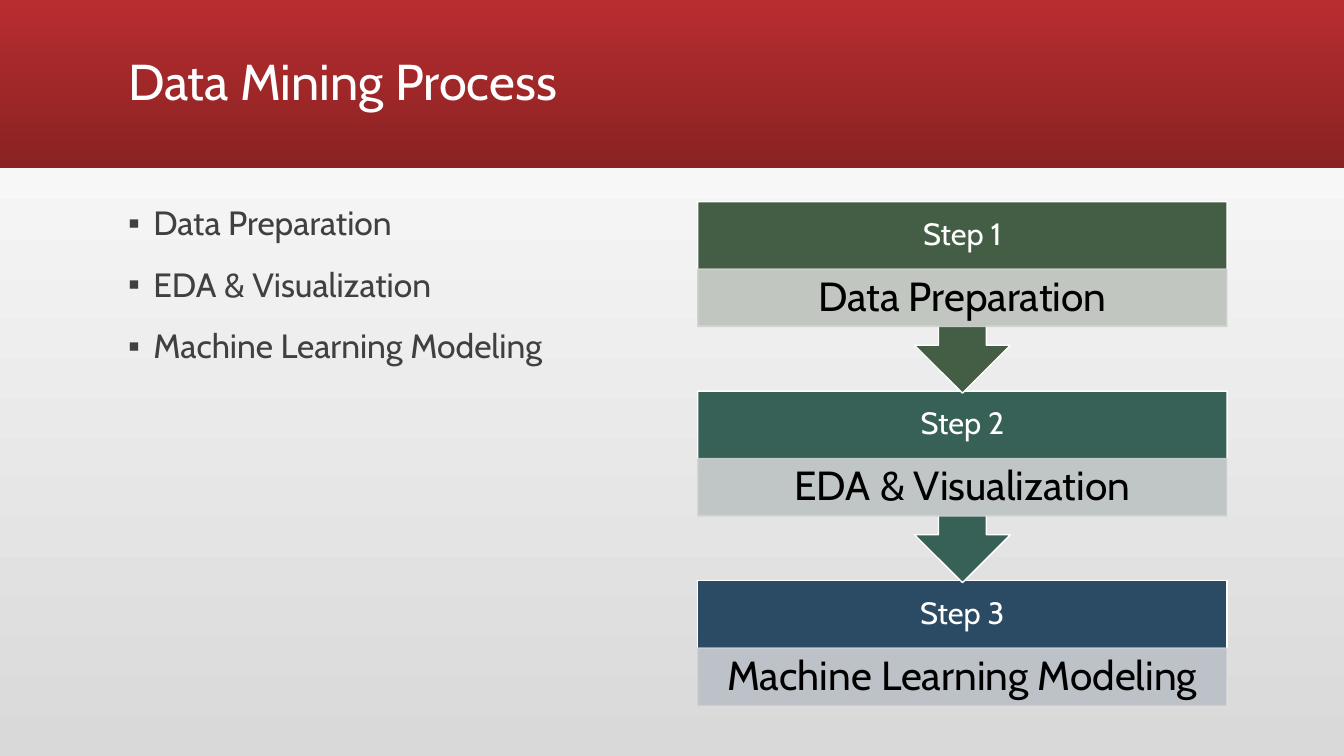
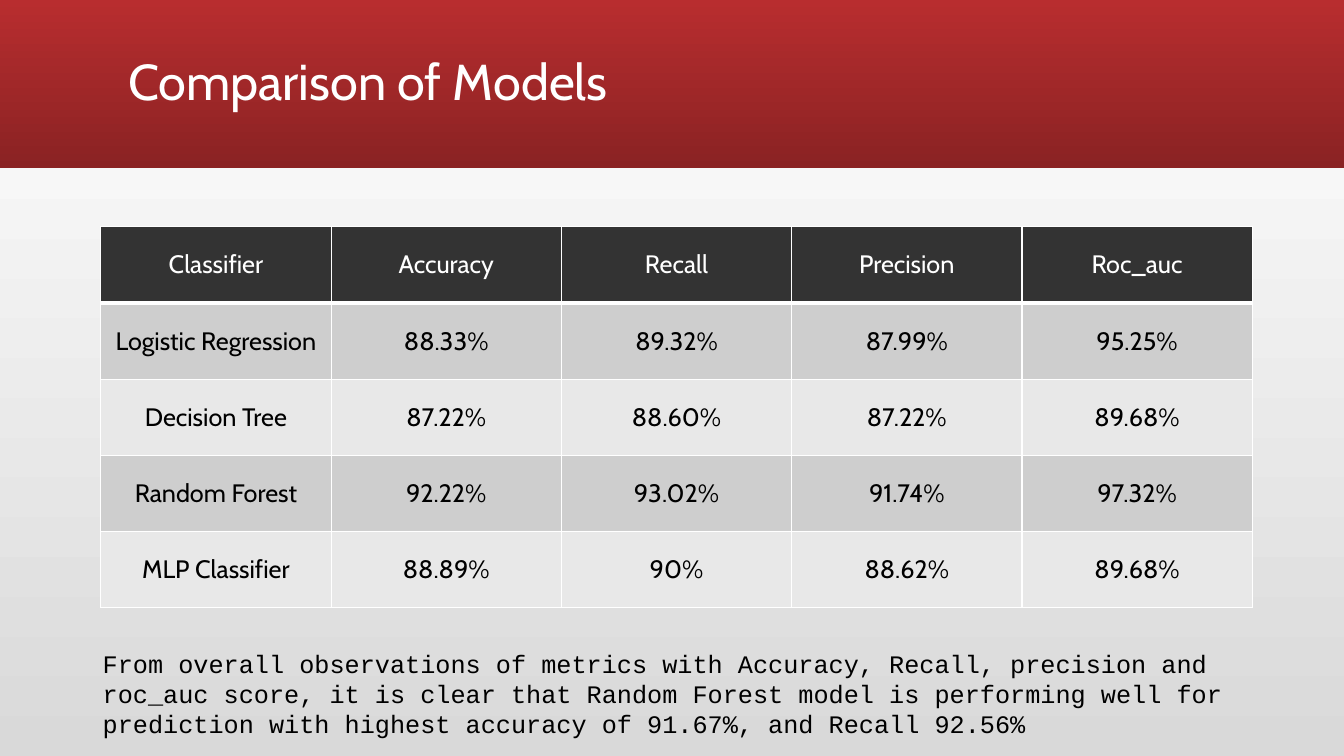
from lxml import etree
from pptx import Presentation
from pptx import util as u
from pptx.dml.color import RGBColor
from pptx.enum import shapes, text
from pptx.oxml import ns

FONT = "Cabin"
COLORS = {
    "band_top": "B82D2F", "band_bottom": "8A2223",
    "page_top": "FFFFFF", "page_bottom": "D9D9D9",
    "white": "FFFFFF", "black": "000000", "body": "404040",
    "header": "333333", "odd_row": "CECECE", "even_row": "E8E8E8",
    "green": "445E45", "green_tint": "CFD2CF",
    "teal": "376156", "teal_tint": "CED2D2",
    "navy": "2B4A63", "navy_tint": "CDD0D3",
}
SLIDE_W, SLIDE_H, BAND_H = 13.33, 7.5, 1.67

STEPS = [
    ("Data Preparation", "green"),
    ("EDA & Visualization", "teal"),
    ("Machine Learning Modeling", "navy"),
]
STEP_LEFT, STEP_TOP, STEP_W = 6.92, 2, 5.25
STEP_PITCH, HEADING_H, DETAIL_H, CALLOUT_H = 1.88, 0.67, 0.57, 1.9

SCORES = [
    ("Classifier", "Accuracy", "Recall", "Precision", "Roc_auc"),
    ("Logistic Regression", "88.33%", "89.32%", "87.99%", "95.25%"),
    ("Decision Tree", "87.22%", "88.60%", "87.22%", "89.68%"),
    ("Random Forest", "92.22%", "93.02%", "91.74%", "97.32%"),
    ("MLP Classifier", "88.89%", "90%", "88.62%", "89.68%"),
]
CONCLUSION = (
    "From overall observations of metrics with Accuracy, Recall, precision and "
    "roc_auc score, it is clear that Random Forest model is performing well for "
    "prediction with highest accuracy of 91.67%, and Recall 92.56%"
)


def rgb(name):
    return RGBColor.from_string(COLORS[name])


def inches(*lengths):
    return [u.Inches(length) for length in lengths]


def place(shape, *box):
    shape.left, shape.top, shape.width, shape.height = inches(*box)


def fill_gradient(fill, start, end, angle):
    """Blend two colours; the angle runs counter-clockwise from left to right."""
    fill.gradient()
    fill.gradient_angle = angle
    for stop, color in zip(fill.gradient_stops, (start, end)):
        stop.color.rgb = rgb(color)


def write(paragraph, words, size, color, font=FONT, align=text.PP_ALIGN.LEFT, spacing=0.9):
    paragraph.alignment = align
    paragraph.line_spacing = spacing
    run = paragraph.add_run()
    run.text = words
    run.font.size = u.Pt(size)
    run.font.name = font
    run.font.bold = False
    run.font.color.rgb = rgb(color)


def write_centred(frame, words, size, color, inset_x, inset_y):
    frame.word_wrap = True
    frame.vertical_anchor = text.MSO_ANCHOR.MIDDLE
    frame.margin_left = frame.margin_right = u.Inches(inset_x)
    frame.margin_top = frame.margin_bottom = u.Inches(inset_y)
    write(frame.paragraphs[0], words, size, color, align=text.PP_ALIGN.CENTER)


def add_block(parent, preset, box, fill, line):
    block = parent.shapes.add_shape(preset, *inches(*box))
    block.shadow.inherit = False
    block.fill.solid()
    block.fill.fore_color.rgb = rgb(fill)
    block.line.color.rgb = rgb(line)
    block.line.width = u.Pt(1)
    return block


def set_opacity(shape, percent):
    """Apply one opacity to the fill and the outline."""
    for color in shape._element.spPr.iter(ns.qn("a:srgbClr")):
        etree.SubElement(color, ns.qn("a:alpha"), val=str(percent * 1000))


def add_title(slide, words):
    title = slide.shapes.title
    place(title, 1.17, 0.11, 11, 1.45)
    title.text_frame.auto_size = text.MSO_AUTO_SIZE.NONE
    title.text_frame.vertical_anchor = text.MSO_ANCHOR.MIDDLE
    write(title.text_frame.paragraphs[0], words, 36, "white")


def add_bullets(slide, items):
    body = slide.placeholders[1]
    place(body, 1.17, 2, 5.25, 5)
    frame = body.text_frame
    frame.auto_size = text.MSO_AUTO_SIZE.NONE
    for index, item in enumerate(items):
        paragraph = frame.add_paragraph() if index else frame.paragraphs[0]
        write(paragraph, item, 24, "body")
        paragraph.space_before = u.Pt(18)
        properties = paragraph._p.get_or_add_pPr()
        properties.set("marL", str(u.Inches(0.25)))
        properties.set("indent", str(-u.Inches(0.25)))
        etree.SubElement(properties, ns.qn("a:buChar"), char="▪")


def add_step(diagram, index, detail, color):
    """Draw a step; every step but the last is a callout pointing to the next."""
    top = STEP_TOP + index * STEP_PITCH
    if index < len(STEPS) - 1:
        preset, height, rotation = shapes.MSO_SHAPE.UP_ARROW_CALLOUT, CALLOUT_H, 180
    else:
        preset, height, rotation = shapes.MSO_SHAPE.RECTANGLE, HEADING_H + DETAIL_H, 0
    frame = add_block(diagram, preset, (STEP_LEFT, top, STEP_W, height), color, "white")
    frame.rotation = rotation

    heading = diagram.shapes.add_textbox(*inches(STEP_LEFT, top, STEP_W, HEADING_H))
    write_centred(heading.text_frame, f"Step {index + 1}", 22, "white", 0.17, 0.17)

    tint = color + "_tint"
    strip = add_block(diagram, shapes.MSO_SHAPE.RECTANGLE,
                      (STEP_LEFT, top + HEADING_H, STEP_W, DETAIL_H), tint, tint)
    set_opacity(strip, 90)
    write_centred(strip.text_frame, detail, 29, "black", 0.23, 0.04)


def add_cell_borders(cell, widths):
    """Draw white borders; widths are points for left, right, top and bottom."""
    properties = cell._tc.get_or_add_tcPr()
    for side, width in zip("LRTB", widths):
        border = etree.SubElement(properties, ns.qn(f"a:ln{side}"), w=str(u.Pt(width)))
        solid = etree.SubElement(border, ns.qn("a:solidFill"))
        etree.SubElement(solid, ns.qn("a:srgbClr"), val=COLORS["white"])


def add_score_table(slide, rows):
    table = slide.shapes.add_table(
        len(rows), len(rows[0]), *inches(1, 2.25, 11.42, 3.78)).table
    for row_index, row in enumerate(rows):
        is_header = row_index == 0
        fill = "header" if is_header else ("even_row", "odd_row")[row_index % 2]
        widths = (1, 1, 3 if row_index == 1 else 1, 3 if is_header else 1)
        for column, words in enumerate(row):
            cell = table.cell(row_index, column)
            cell.vertical_anchor = text.MSO_ANCHOR.MIDDLE
            add_cell_borders(cell, widths)
            cell.fill.solid()
            cell.fill.fore_color.rgb = rgb(fill)
            write(cell.text_frame.paragraphs[0], words, 18,
                  "white" if is_header else "black",
                  align=text.PP_ALIGN.CENTER, spacing=1.0)


def add_conclusion(slide, words):
    conclusion = slide.shapes.add_textbox(*inches(0.92, 6.38, 11.58, 1.01))
    conclusion.text_frame.word_wrap = True
    conclusion.text_frame.auto_size = text.MSO_AUTO_SIZE.SHAPE_TO_FIT_TEXT
    write(conclusion.text_frame.paragraphs[0], words, 18, "black",
          font="Courier New", spacing=1.0)


def style_master(master, slide):
    """Give the master its background and band; the band is drawn on a slide, then moved."""
    fill_gradient(master.background.fill, "page_bottom", "page_top", 90)
    band = add_block(slide, shapes.MSO_SHAPE.RECTANGLE,
                     (0, 0, SLIDE_W, BAND_H), "band_top", "band_top")
    fill_gradient(band.fill, "band_top", "band_bottom", 270)
    band.line.fill.background()
    master.shapes._spTree.insert(2, band._element)


def build_process(slide):
    add_title(slide, "Data Mining Process")
    add_bullets(slide, [detail for detail, _ in STEPS])
    diagram = slide.shapes.add_group_shape()
    for index, (detail, color) in reversed(list(enumerate(STEPS))):
        add_step(diagram, index, detail, color)


def build_comparison(slide):
    add_title(slide, "Comparison of Models")
    add_score_table(slide, SCORES)
    add_conclusion(slide, CONCLUSION)


def main():
    deck = Presentation()
    deck.slide_width, deck.slide_height = inches(SLIDE_W, SLIDE_H)
    process = deck.slides.add_slide(deck.slide_layouts.get_by_name("Title and Content"))
    style_master(deck.slide_master, process)
    build_process(process)
    build_comparison(deck.slides.add_slide(deck.slide_layouts.get_by_name("Title Only")))
    deck.save("out.pptx")


if __name__ == "__main__":
    main()
